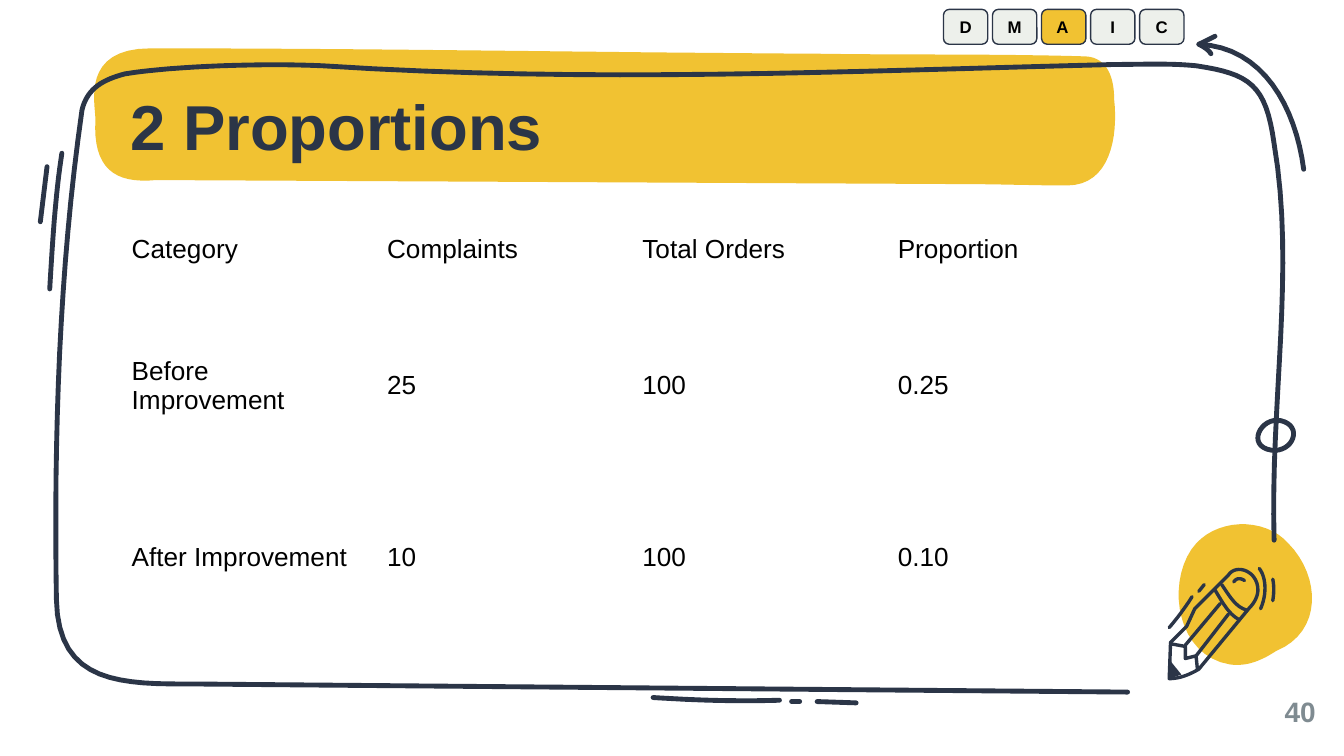
from pptx import Presentation
from pptx.dml.color import RGBColor as RGB
from pptx.enum.shapes import MSO_SHAPE as Shape
from pptx.enum.text import MSO_ANCHOR as Anchor, MSO_AUTO_SIZE as Fit, PP_ALIGN as Align
from pptx.util import Inches, Pt

HUES = {"ink": "2B3547", "gold": "F1C232", "pale": "EDF0EB",
        "gray": "7F8B91", "black": "000000"}

# A path is a start point followed by lines (x, y) or curves (two controls, end).
BLOB = [(9.67, 4.14), (9.55, 3.9, 9.18, 3.81, 8.96, 4), (8.71, 4.22, 8.66, 4.74, 9.02, 4.9),
        (9.14, 4.95, 9.26, 4.93, 9.38, 4.89), (9.75, 4.84, 9.84, 4.44, 9.67, 4.14)]
BANNER = [(8.29, 0.74), (8.29, 0.58, 8.24, 0.43, 8.08, 0.42),
          (7.41, 0.4, 6.75, 0.41, 6.08, 0.4), (4.35, 0.39, 2.85, 0.36, 1.12, 0.36),
          (0.6, 0.36, 0.71, 0.77, 0.71, 0.89), (0.69, 1.25, 0.85, 1.37, 1.16, 1.34),
          (3.16, 1.35), (7.15, 1.37), (7.42, 1.37, 7.68, 1.38, 7.94, 1.38),
          (8.26, 1.38, 8.32, 1.02, 8.29, 0.74)]
SKETCH = [
    # frame
    [(9.48, 4.02), (9.45, 2.99, 9.64, 2, 9.48, 1.07), (9.42, 0.63, 9.3, 0.55, 8.9, 0.49),
     (8.71, 0.47, 8.5, 0.48, 8.3, 0.48), (6.28, 0.53, 4.4, 0.62, 2.4, 0.49),
     (1.98, 0.47, 1.3, 0.49, 0.93, 0.55), (0.78, 0.59, 0.65, 0.65, 0.61, 0.82),
     (0.44, 2.01, 0.4, 3.25, 0.42, 4.46), (0.43, 5.1, 0.92, 5.09, 1.45, 5.09), (8.39, 5.15)],
    # arrow
    [(9.7, 1.26), (9.64, 0.8, 9.4, 0.35, 8.92, 0.33)],
    [(9.04, 0.27), (8.92, 0.33), (8.96, 0.35, 8.99, 0.37, 9.01, 0.4)],
    # ring
    [(9.53, 3.13), (9.7, 3.17, 9.62, 3.37, 9.46, 3.35), (9.27, 3.32, 9.38, 3.1, 9.53, 3.13)],
    # dashes below and at the left
    [(4.86, 5.19), (5.17, 5.21, 5.48, 5.22, 5.8, 5.21)],
    [(5.89, 5.22), (5.95, 5.22)],
    [(6.08, 5.22), (6.37, 5.23)],
    [(0.46, 1.14), (0.41, 1.47, 0.39, 1.81, 0.37, 2.15)],
    [(0.35, 1.24), (0.3, 1.65)],
]
PENCIL = [
    # outline, ferrule, body edges, cut wood
    [(8.7, 5.05), (8.71, 4.78), (8.83, 4.66), (8.89, 4.53), (9.04, 4.38), (9.14, 4.28),
     (9.2, 4.19, 9.36, 4.25, 9.36, 4.39), (9.36, 4.43, 9.34, 4.48, 9.3, 4.52),
     (8.92, 4.98), (8.85, 5.02, 8.78, 5.05, 8.7, 5.05)],
    [(9.04, 4.39), (9.09, 4.47, 9.14, 4.57, 9.22, 4.61)],
    [(9.09, 4.35), (9.14, 4.42, 9.19, 4.52, 9.28, 4.54)],
    [(9.08, 4.49), (8.82, 4.8)],
    [(9.14, 4.57), (8.9, 4.88)],
    [(8.71, 4.79), (8.82, 4.81), (8.82, 4.9), (8.9, 4.88), (8.91, 4.98)],
    # glint and motion marks
    [(9.18, 4.33), (9.2, 4.3, 9.23, 4.3, 9.26, 4.32)],
    [(9.37, 4.23), (9.43, 4.31, 9.42, 4.44, 9.38, 4.53)],
    [(9.47, 4.31), (9.48, 4.36, 9.48, 4.41, 9.47, 4.47)],
    [(8.92, 4.4), (8.96, 4.35)],
    [(8.7, 4.67), (8.76, 4.6, 8.82, 4.52, 8.87, 4.44)],
]
LEAD = [(8.71, 4.92), (8.79, 5.02), (8.7, 5.05), (8.71, 4.92)]
ROWS = [("Category", "Complaints", "Total Orders", "Proportion"),
        ("Before Improvement", "25", "100", "0.25"),
        ("After Improvement", "10", "100", "0.10")]


def hue(name):
    return RGB.from_string(HUES[name])


def trace(path, steps=16):
    """Turn a path of lines and cubic curves into points in EMU."""
    pts = [path[0]]
    for seg in path[1:]:
        if len(seg) == 2:
            pts.append(seg)
            continue
        ax, ay = pts[-1]
        bx, by, cx, cy, dx, dy = seg
        for i in range(1, steps + 1):
            t = i / steps
            u = 1 - t
            k = (u ** 3, 3 * u * u * t, 3 * u * t * t, t ** 3)
            pts.append((sum(m * v for m, v in zip(k, (ax, bx, cx, dx))),
                        sum(m * v for m, v in zip(k, (ay, by, cy, dy)))))
    return [(Inches(x), Inches(y)) for x, y in pts]


def draw(slide, path, fill=None, line=None, width=2.6, turn=0):
    """Draw a path as a filled area, a round-ended stroke, or both."""
    pts = trace(path)
    pen = slide.shapes.build_freeform(*pts[0])
    pen.add_line_segments(pts[1:], close=bool(fill))
    form = pen.convert_to_shape()
    form.shadow.inherit = False
    form.rotation = turn
    if fill:
        form.fill.solid()
        form.fill.fore_color.rgb = hue(fill)
    else:
        form.fill.background()
    if line:
        form.line.color.rgb = hue(line)
        form.line.width = Pt(width)
        form.line._get_or_add_ln().set("cap", "rnd")
    else:
        form.line.fill.background()


def text(frame, words, size=14, color="black", bold=False, align=Align.LEFT, inset=0, gap=1):
    frame.word_wrap = True
    frame.auto_size = Fit.NONE
    frame.vertical_anchor = Anchor.MIDDLE
    frame.margin_left = frame.margin_right = Inches(inset)
    frame.margin_top = frame.margin_bottom = Inches(inset)
    para = frame.paragraphs[0]
    para.alignment = align
    para.line_spacing = gap
    run = para.add_run()
    run.text = words
    font = run.font
    font.name, font.size, font.bold = "Arial", Pt(size), bold
    font.color.rgb = hue(color)


def title(slide, words):
    head = slide.shapes.title
    head.left, head.top = Inches(0.97), Inches(0.75)
    head.width, head.height = Inches(7.03), Inches(0.43)
    text(head.text_frame, words, size=34, color="ink", bold=True, gap=0.9)


def steps(slide, names, active):
    for i, name in enumerate(names):
        on = name == active
        box = slide.shapes.add_shape(Shape.ROUNDED_RECTANGLE, Inches(7.02 + i * 1.46 / 4),
                                     Inches(0.07), Inches(0.33), Inches(0.26))
        box.shadow.inherit = False
        box.fill.solid()
        box.fill.fore_color.rgb = hue("gold" if on else "pale")
        box.line.color.rgb = hue("ink")
        box.line.width = Pt(0.75)
        text(box.text_frame, name, size=9, bold=True, inset=0.1,
             align=Align.LEFT if on else Align.CENTER)


def table(slide, rows):
    grid = slide.shapes.add_table(len(rows), len(rows[0]), Inches(0.88), Inches(1.48),
                                  Inches(7.6), Inches(3.31)).table
    grid.first_row = grid.horz_banding = False
    for row, high in zip(grid.rows, (0.75, 1.28, 1.28)):
        row.height = Inches(high)
    for r, row in enumerate(rows):
        for c, words in enumerate(row):
            cell = grid.cell(r, c)
            cell.fill.background()
            cell.vertical_anchor = Anchor.MIDDLE
            run = cell.text_frame.paragraphs[0].add_run()
            run.text = words
            run.font.name, run.font.size = "Arial", Pt(14)
            run.font.color.rgb = hue("black")


def number(slide, words):
    box = slide.shapes.add_textbox(Inches(9.19), Inches(5.13), Inches(0.6), Inches(0.33))
    text(box.text_frame, words, size=15, color="gray", bold=True, align=Align.RIGHT)


def main():
    deck = Presentation()
    deck.slide_width, deck.slide_height = Inches(10), Inches(10 * 9 / 16)
    slide = deck.slides.add_slide(deck.slide_layouts[5])
    draw(slide, BLOB, fill="gold", turn=345.3)
    draw(slide, BANNER, fill="gold")
    for path in SKETCH:
        draw(slide, path, line="ink")
    for path in PENCIL:
        draw(slide, path, line="ink", width=1.8)
    draw(slide, LEAD, fill="ink")
    number(slide, "40")
    steps(slide, ["D", "M ", "A", "I", "C"], active="A")
    title(slide, "2 Proportions")
    table(slide, ROWS)
    # The title comes first in the tree, so raise it above the banner.
    slide.shapes._spTree.append(slide.shapes.title._element)
    deck.save("out.pptx")


if __name__ == "__main__":
    main()
